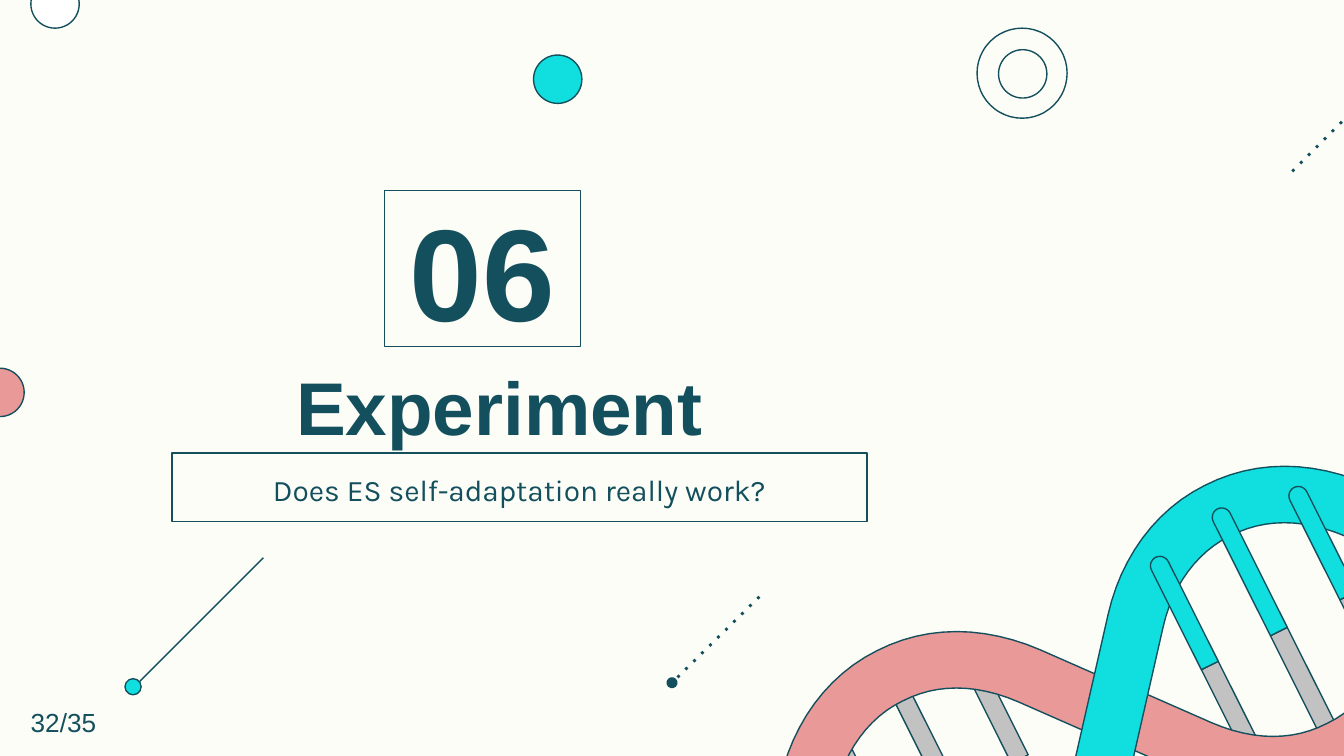
from dataclasses import dataclass
from math import cos, dist, hypot, radians, sin
from typing import Optional

from lxml.etree import SubElement
from pptx import Presentation
from pptx.dml.color import RGBColor
from pptx.enum.shapes import MSO_CONNECTOR, MSO_SHAPE
from pptx.enum.text import MSO_ANCHOR, MSO_AUTO_SIZE, PP_ALIGN
from pptx.oxml.ns import qn
from pptx.util import Cm, Pt

INK, CYAN, PINK, GRAY, WHITE = "134F5C", "11DFDF", "EA9999", "C2C2C2", "FFFFFF"
PAPER = "FDFDF8"
Point = tuple[float, float]


@dataclass
class Circle:
    left: float
    top: float
    size: float
    fill: Optional[str] = None


@dataclass
class Line:
    start: Point
    end: Point
    dotted: bool = False
    oval_end: bool = False


@dataclass
class Rung:
    """A bar from a round tip: cyan as far as the joint, gray beyond it."""
    tip: Point
    joint: float
    length: float


@dataclass
class Label:
    text: str
    size: float
    font: str = "Arial"
    bold: bool = False
    align: PP_ALIGN = PP_ALIGN.CENTER
    anchor: MSO_ANCHOR = MSO_ANCHOR.MIDDLE
    spacing: float = 1.0
    inset: float = 0.1
    wrap: bool = True


# All measures are in inches.
CIRCLES = [
    Circle(-0.18, 2.74, 0.36, PINK),
    Circle(0.23, -0.15, 0.36, WHITE),
    Circle(3.97, 0.41, 0.36, CYAN),
]
RINGS = [Circle(7.27, 0.21, 0.67), Circle(7.43, 0.37, 0.36)]
PIN_HEAD = Circle(0.93, 5.05, 0.12, CYAN)
PIN_STEM = Line((1.04, 5.07), (1.96, 4.15))
DOTTED_LINES = [
    Line((10.22, 0.67), (9.58, 1.31), dotted=True),
    Line((5.65, 4.44), (5, 5.08), dotted=True, oval_end=True),
]

# The helix repeats one arch: the pink arch is the cyan one moved one step along,
# and a half turn about the center gives the other half of everything.
TILT = 27.6
HELIX_CENTER = (8.295, 5.3)
STRAND_WIDTH = 0.42
ARCH_FOOT, ARCH_SHOULDER, ARCH_SLOPE, ARCH_END = (8.45, 4.62), (9.06, 3.8), (10.1, 3.8), (10.6, 4.02)
ARCH_CURVES = [
    (ARCH_FOOT, (8.53, 4.26), (8.75, 3.95), ARCH_SHOULDER),
    (ARCH_SHOULDER, (9.37, 3.64), (9.73, 3.64), ARCH_SLOPE),
]
PINK_STEP = (-2.44, 1.23)
PINK_TAIL = (-0.38, 1.66)
RUNG_ANGLE = 63.4
RUNG_RADIUS = 0.07
RUNG_TUCK = 0.08
RUNGS = [
    Rung((8.63, 4.21), 0.83, 1.41),
    Rung((9.09, 3.85), 0.95, 1.74),
    Rung((9.66, 3.69), 0.83, 1.41),
]
CURVE_STEPS = 12


def inches(value: float) -> Cm:
    return Cm(value * 2.54)


def color(code: str) -> RGBColor:
    return RGBColor.from_string(code)


def paint(shape, fill: Optional[str] = None) -> None:
    if fill:
        shape.fill.solid()
        shape.fill.fore_color.rgb = color(fill)
    else:
        shape.fill.background()
    shape.line.color.rgb = color(INK)
    shape.line.width = Pt(0.75)


def draw_circle(page, circle: Circle):
    box = map(inches, (circle.left, circle.top, circle.size, circle.size))
    shape = page.shapes.add_shape(MSO_SHAPE.OVAL, *box)
    shape.shadow.inherit = False
    paint(shape, circle.fill)
    return shape


def draw_line(page, line: Line):
    ends = map(inches, (*line.start, *line.end))
    connector = page.shapes.add_connector(MSO_CONNECTOR.STRAIGHT, *ends)
    connector.line.color.rgb = color(INK)
    connector.line.width = Pt(1.5 if line.dotted else 0.75)
    stroke = connector.line._get_or_add_ln()
    if line.dotted:
        SubElement(stroke, qn("a:prstDash"), val="dot")
    if line.oval_end:
        SubElement(stroke, qn("a:tailEnd"), type="oval")
    SubElement(connector._element.spPr, qn("a:effectLst"))
    return connector


def shift(point: Point, step: Point) -> Point:
    return point[0] + step[0], point[1] + step[1]


def polar(center: Point, radius: float, degrees: float) -> Point:
    angle = radians(degrees)
    return shift(center, (radius * cos(angle), radius * sin(angle)))


def turn(x: float, y: float, degrees: float) -> Point:
    angle = radians(degrees)
    return x * cos(angle) - y * sin(angle), x * sin(angle) + y * cos(angle)


def half_turn(points: list[Point]) -> list[Point]:
    return [(2 * HELIX_CENTER[0] - x, 2 * HELIX_CENTER[1] - y) for x, y in points]


def bezier(curve: tuple, t: float) -> Point:
    weights = ((1 - t) ** 3, 3 * t * (1 - t) ** 2, 3 * t * t * (1 - t), t ** 3)
    x, y = (sum(w * c for w, c in zip(weights, axis)) for axis in zip(*curve))
    return x, y


def ribbon(middle: list[Point]) -> list[Point]:
    """Widen a middle line into the outline of a strand."""
    left, right = [], []
    for index, (x, y) in enumerate(middle):
        before, after = middle[max(index - 1, 0)], middle[min(index + 1, len(middle) - 1)]
        scale = STRAND_WIDTH / 2 / dist(before, after)
        across = ((before[1] - after[1]) * scale, (after[0] - before[0]) * scale)
        left.append((x + across[0], y + across[1]))
        right.append((x - across[0], y - across[1]))
    return left + right[::-1]


def rung_sides(rung: Rung, distance: float) -> list[Point]:
    middle = polar(rung.tip, distance, RUNG_ANGLE)
    return [polar(middle, RUNG_RADIUS, RUNG_ANGLE + side) for side in (-90, 90)]


def rung_head(rung: Rung) -> list[Point]:
    cap = [polar(rung.tip, RUNG_RADIUS, RUNG_ANGLE + 90 + 180 * step / CURVE_STEPS)
           for step in range(CURVE_STEPS + 1)]
    return cap + rung_sides(rung, rung.joint)


def rung_foot(rung: Rung) -> list[Point]:
    """The gray part, with its end tucked under the pink strand."""
    return rung_sides(rung, rung.joint) + rung_sides(rung, rung.length + RUNG_TUCK)[::-1]


def draw_outline(page, outline: list[Point], fill: str):
    """Build the outline upright, then tilt it into its place."""
    upright = [tuple(map(inches, turn(x, y, -TILT))) for x, y in outline]
    builder = page.shapes.build_freeform(*upright[0])
    builder.add_line_segments(upright[1:], close=True)
    shape = builder.convert_to_shape()
    center_x, center_y = turn(shape.left + shape.width / 2, shape.top + shape.height / 2, TILT)
    shape.left = round(center_x - shape.width / 2)
    shape.top = round(center_y - shape.height / 2)
    shape.rotation = TILT
    shape.shadow.inherit = False
    paint(shape, fill)
    return shape


def draw_helix(page) -> None:
    arch = [ARCH_FOOT]
    for curve in ARCH_CURVES:
        arch += [bezier(curve, step / CURVE_STEPS) for step in range(1, CURVE_STEPS + 1)]
    arch.append(ARCH_END)
    cyan_strand = ribbon(half_turn(arch)[::-1] + arch)
    pink_strand = ribbon([shift(point, PINK_STEP) for point in [shift(ARCH_FOOT, PINK_TAIL)] + arch])

    feet = [rung_foot(rung) for rung in RUNGS]
    layers = [(foot, GRAY) for foot in feet]
    layers += [(half_turn(foot), GRAY) for foot in feet]
    layers += [(pink_strand, PINK), (half_turn(pink_strand), PINK), (cyan_strand, CYAN)]
    layers += [(rung_head(rung), CYAN) for rung in RUNGS]
    page.shapes.add_group_shape([draw_outline(page, *layer) for layer in layers])


def place(shape, left: float, top: float, width: float, height: float) -> None:
    shape.left, shape.top, shape.width, shape.height = map(inches, (left, top, width, height))


def write(shape, label: Label) -> None:
    frame = shape.text_frame
    frame.auto_size = MSO_AUTO_SIZE.NONE
    frame.word_wrap = label.wrap
    frame.vertical_anchor = label.anchor
    frame.margin_left = frame.margin_right = inches(0.1)
    frame.margin_top = frame.margin_bottom = inches(label.inset)
    para = frame.paragraphs[0]
    para.alignment = label.align
    para.line_spacing = label.spacing
    para.space_before = Pt(0)
    span = para.add_run()
    span.text = label.text
    span.font.name = label.font
    span.font.size = Pt(label.size)
    span.font.bold = label.bold
    span.font.color.rgb = color(INK)


def main() -> None:
    deck = Presentation()
    deck.slide_width, deck.slide_height = inches(10), inches(5.625)
    page = deck.slides.add_slide(deck.slide_layouts[0])
    page.background.fill.solid()
    page.background.fill.fore_color.rgb = color(PAPER)

    for circle in CIRCLES:
        draw_circle(page, circle)
    page.shapes.add_group_shape([draw_circle(page, ring) for ring in RINGS])
    page.shapes.add_group_shape([draw_circle(page, PIN_HEAD), draw_line(page, PIN_STEM)])
    draw_helix(page)
    for line in DOTTED_LINES:
        draw_line(page, line)

    title, subtitle = page.placeholders
    place(title, 1.13, 2.44, 5.17, 1.16)
    write(title, Label("Experiment", 40, bold=True))
    place(subtitle, 1.28, 3.37, 5.17, 0.51)
    paint(subtitle)
    write(subtitle, Label("Does ES self-adaptation really work?", 16, "Karla",
                          anchor=MSO_ANCHOR.BOTTOM, spacing=1.15))
    number = page.shapes.add_textbox(*map(inches, (2.86, 1.42, 1.46, 1.16)))
    paint(number)
    write(number, Label("06", 70, bold=True))
    counter = page.shapes.add_textbox(*map(inches, (0.13, 5.21, 0.69, 0.34)))
    write(counter, Label("32/35", 14, align=PP_ALIGN.LEFT, anchor=MSO_ANCHOR.TOP,
                         inset=0.05, wrap=False))
    deck.save("out.pptx")


if __name__ == "__main__":
    main()
